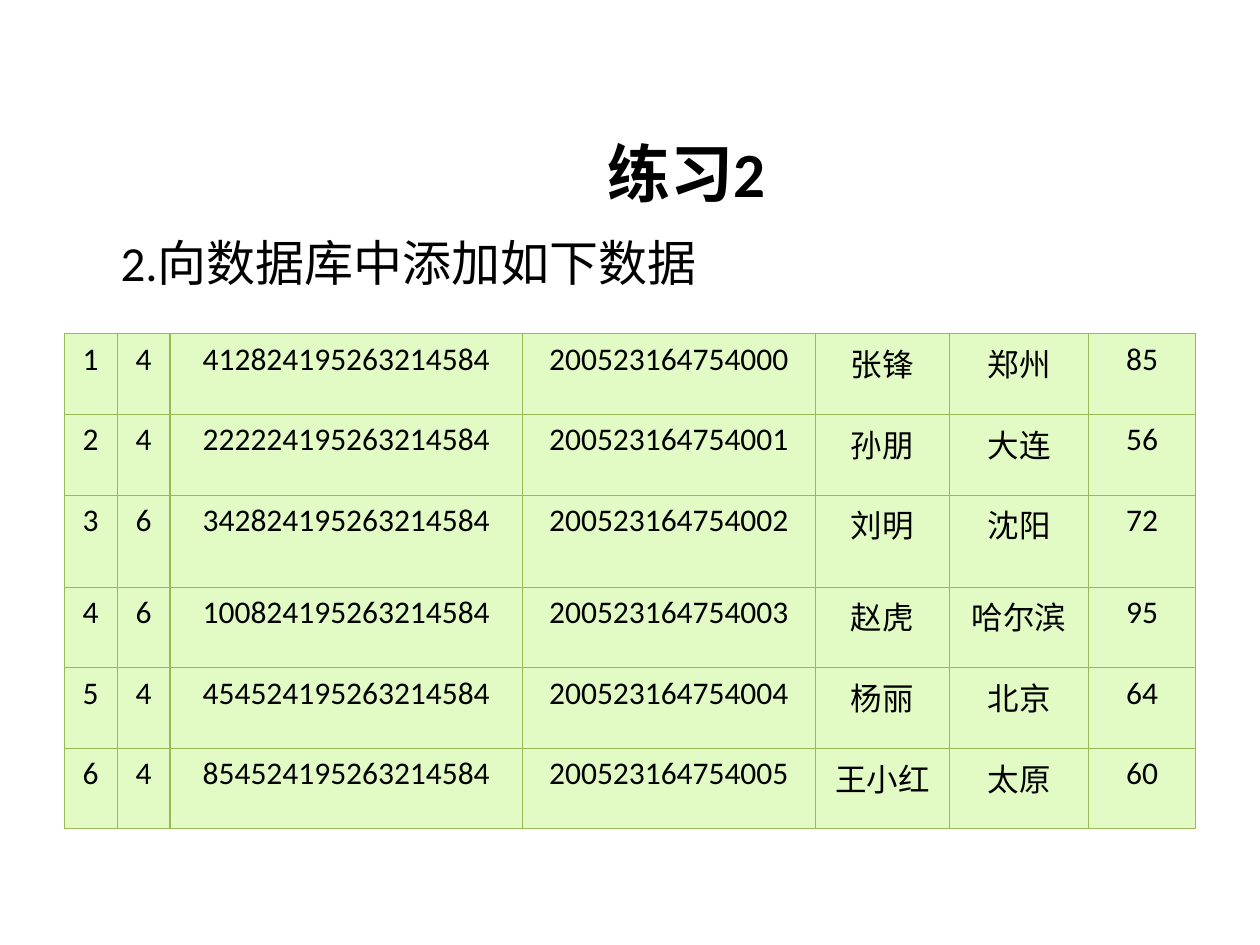
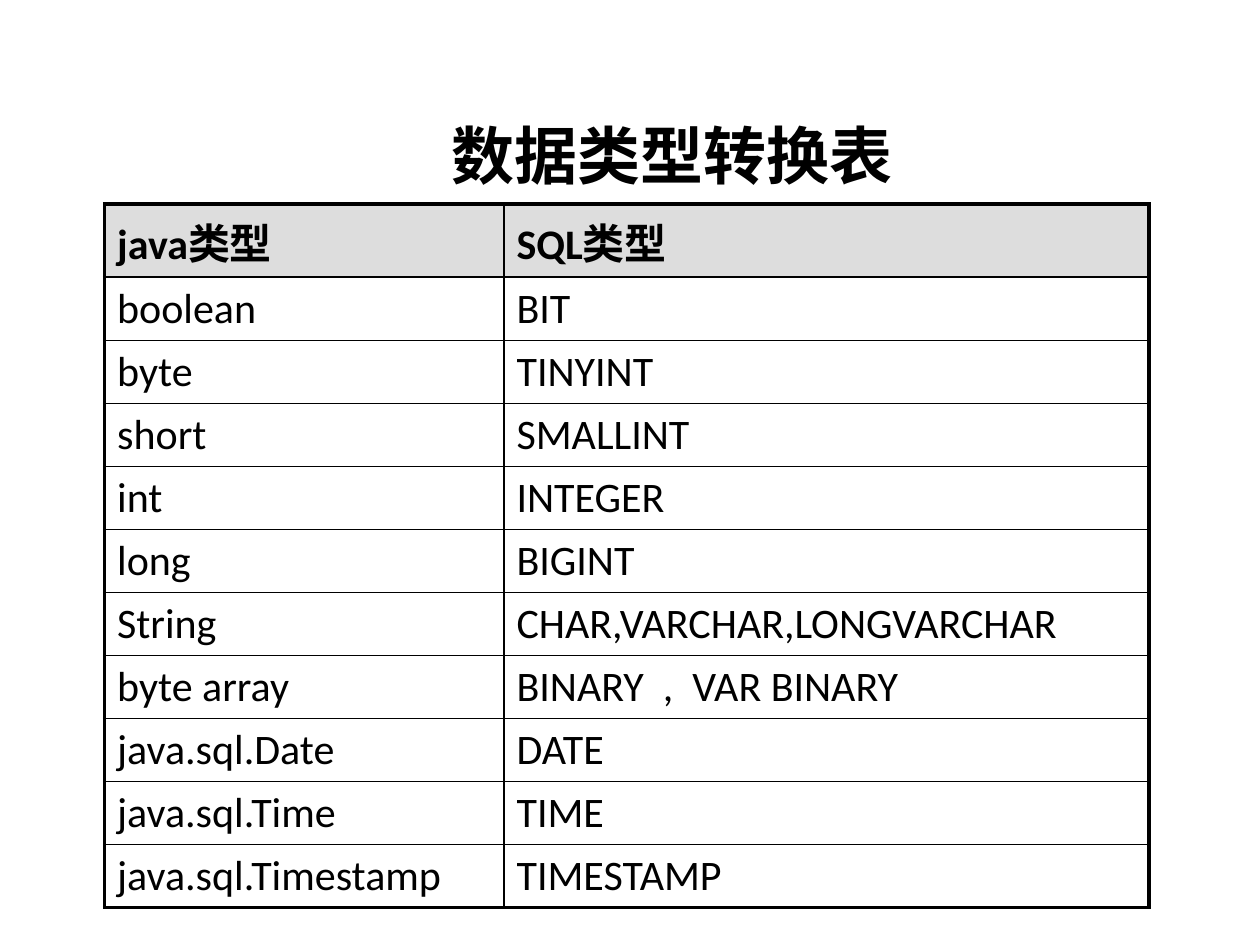
from lxml.etree import SubElement as Sub
from pptx import Presentation
from pptx.dml.color import RGBColor as Rgb
from pptx.enum.text import MSO_ANCHOR as Anchor, PP_ALIGN as Align
from pptx.oxml.ns import qn
from pptx.util import Inches, Pt

HUES = {"ink": "000000", "leaf": "E2FAC4", "edge": "98B955", "head": "DDDDDD"}
TITLE = {"size": Pt(36), "bold": True}
LEAD = {"size": Pt(28), "bold": False}
DATA = {"size": Pt(18), "bold": False}
KIND = {"size": Pt(24), "bold": False}
HEAD = {"size": Pt(24), "bold": True}

PEOPLE = [
    (4, "412824195263214584", "张锋", "郑州", 85),
    (4, "222224195263214584", "孙朋", "大连", 56),
    (6, "342824195263214584", "刘明", "沈阳", 72),
    (6, "100824195263214584", "赵虎", "哈尔滨", 95),
    (4, "454524195263214584", "杨丽", "北京", 64),
    (4, "854524195263214584", "王小红", "太原", 60),
]
TYPES = [
    ("java类型", "SQL类型"),
    ("boolean", "BIT"),
    ("byte", "TINYINT"),
    ("short", "SMALLINT"),
    ("int", "INTEGER"),
    ("long", "BIGINT"),
    ("String", "CHAR,VARCHAR,LONGVARCHAR"),
    ("byte array", "BINARY  ,  VAR BINARY"),
    ("java.sql.Date", "DATE"),
    ("java.sql.Time", "TIME"),
    ("java.sql.Timestamp", "TIMESTAMP"),
]


def write(frame, text, look, align):
    para = frame.paragraphs[0]
    para.alignment = align
    run = para.add_run()
    run.text = text
    for key, value in {"name": "Calibri", **look}.items():
        setattr(run.font, key, value)
    run.font.color.rgb = Rgb.from_string(HUES["ink"])


def label(slide, box, text, look, align=Align.LEFT, anchor=Anchor.TOP):
    frame = slide.shapes.add_textbox(*map(Inches, box)).text_frame
    frame.word_wrap = True
    frame.vertical_anchor = anchor
    write(frame, text, look, align)


def title(slide, box, text):
    label(slide, box, text, TITLE, Align.CENTER, Anchor.MIDDLE)


def border(cell, hue, widths):
    props = cell._tc.get_or_add_tcPr()
    for side, width in zip("LRTB", widths):
        line = Sub(props, qn(f"a:ln{side}"), w=str(Pt(width)))
        Sub(Sub(line, qn("a:solidFill")), qn("a:srgbClr"), val=HUES[hue])


def paint(cell, hue):
    if hue:
        cell.fill.solid()
        cell.fill.fore_color.rgb = Rgb.from_string(HUES[hue])
    else:
        cell.fill.background()


def grid(slide, spot, cols, rows):
    box = (*spot, sum(cols), sum(rows))
    table = slide.shapes.add_table(len(rows), len(cols), *map(Inches, box)).table
    table.first_row = table.horz_banding = False
    for col, width in zip(table.columns, cols):
        col.width = Inches(width)
    for row, height in zip(table.rows, rows):
        row.height = Inches(height)
    return table


def people(slide, spot):
    cols = [0.42, 0.42, 2.8, 2.32, 1.07, 1.1, 0.85]
    rows = [0.73 if i == 2 else 0.64 for i in range(len(PEOPLE))]
    table = grid(slide, spot, cols, rows)
    for i, (level, card, name, town, score) in enumerate(PEOPLE):
        items = (i + 1, level, card, 200523164754000 + i, name, town, score)
        for j, item in enumerate(items):
            cell = table.cell(i, j)
            write(cell.text_frame, str(item), DATA, Align.CENTER)
            border(cell, "edge", [0.75] * 4)
            paint(cell, "leaf")


def types(slide, spot):
    last = len(TYPES) - 1
    table = grid(slide, spot, [3.17, 5.12], [0.58] + [0.5] * last)
    for i, pair in enumerate(TYPES):
        for j, item in enumerate(pair):
            cell = table.cell(i, j)
            write(cell.text_frame, item, KIND if i else HEAD, Align.LEFT)
            outer = (j == 0, j == 1, i == 0, i == last)
            border(cell, "ink", [2.25 if side else 1 for side in outer])
            paint(cell, None if i else "head")


def task(slide):
    title(slide, (3.82, 0.93, 3.25, 0.87), "练习2")
    people(slide, (0.51, 2.65))
    label(slide, (0.86, 1.8, 5.04, 0.57), "2.向数据库中添加如下数据", LEAD)


def chart(slide):
    title(slide, (3.43, 0.6, 3.8, 1.25), "数据类型转换表")
    types(slide, (0.83, 1.62))


def main():
    deck = Presentation()
    deck.slide_width, deck.slide_height = Inches(10), Inches(7.5)
    for build in (task, chart):
        build(deck.slides.add_slide(deck.slide_layouts[6]))
    deck.save("out.pptx")


if __name__ == "__main__":
    main()
